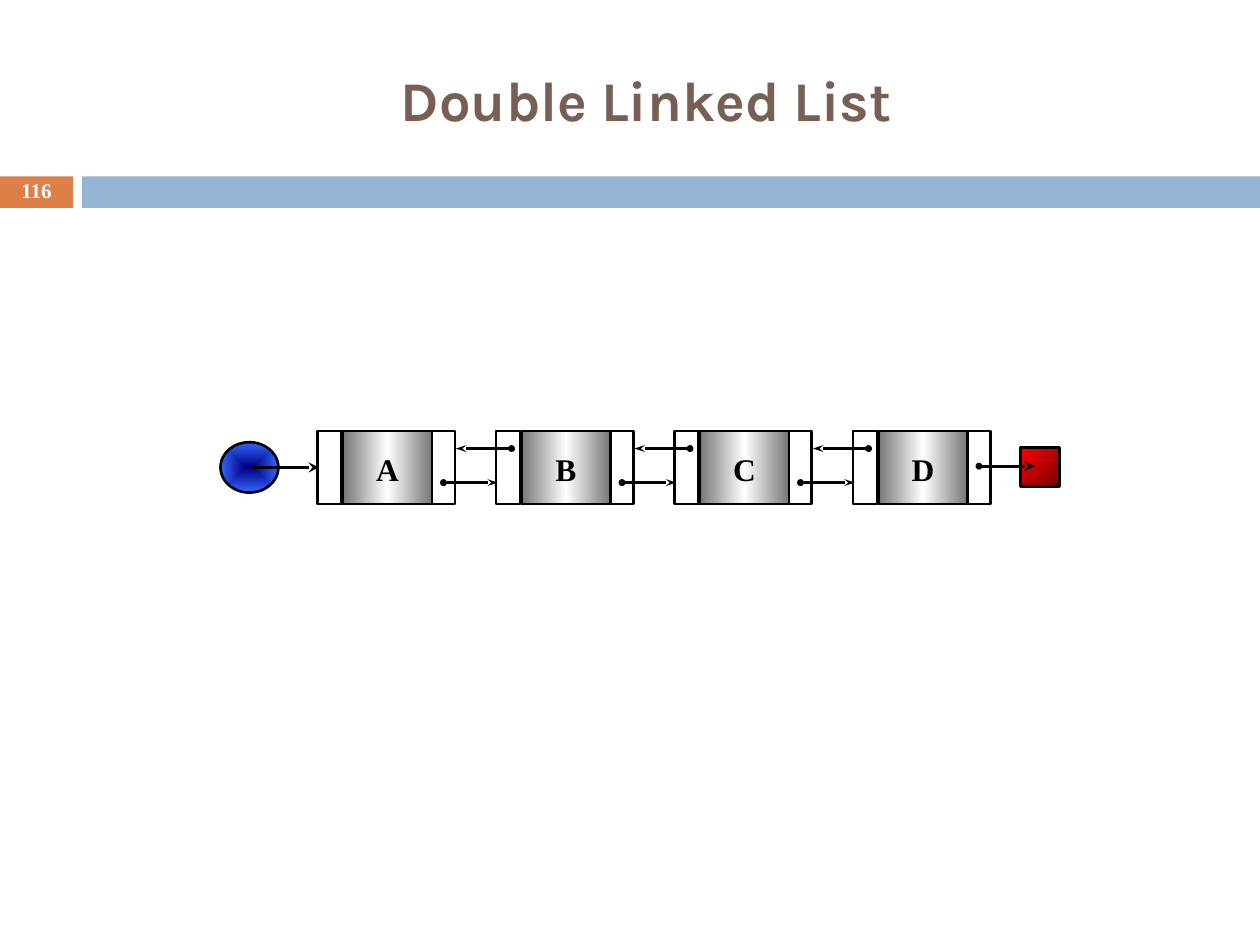
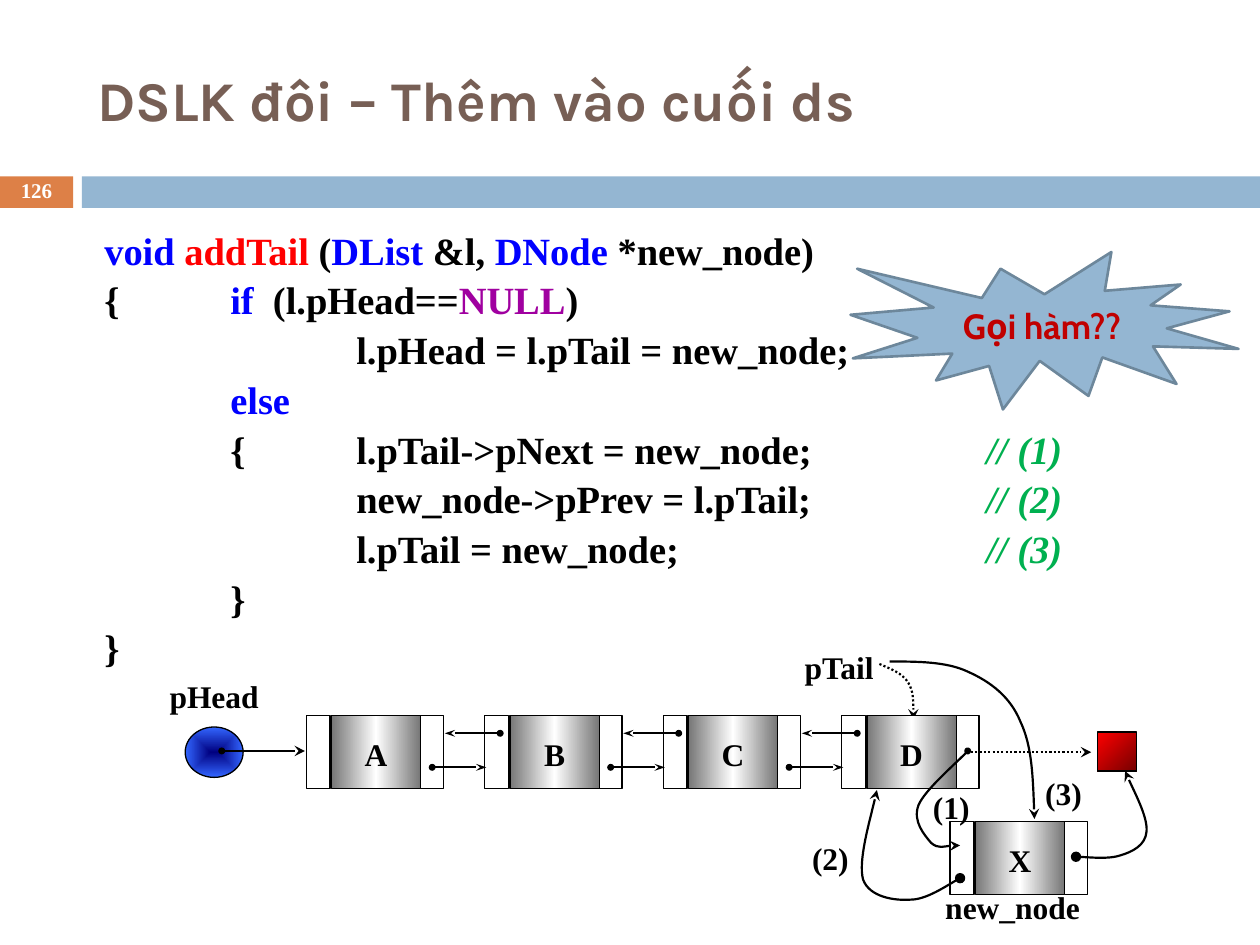
from dataclasses import dataclass

from lxml import etree
from pptx import Presentation
from pptx.dml.color import RGBColor
from pptx.enum import dml, shapes, text
from pptx.oxml import parse_xml
from pptx.oxml.ns import nsdecls, qn
from pptx.util import Inches, Pt


@dataclass(frozen=True)
class Theme:
    title_font: str = "Karla"
    body_font: str = "Times New Roman"
    callout_font: str = "Cabin"
    title_size: int = 32
    code_size: int = 22
    callout_size: int = 20
    label_size: int = 18
    number_size: int = 12
    title: str = "775F55"
    accent: str = "DD8047"
    band: str = "94B6D2"
    band_edge: str = "6D879B"
    callout: str = "C00000"
    ink: str = "000000"
    paper: str = "FFFFFF"
    keyword: str = "0000FF"
    function: str = "FF0000"
    constant: str = "A000A0"
    comment: str = "00B050"


T = Theme()
SHAPE, ALIGN, ANCHOR = shapes.MSO_SHAPE, text.PP_ALIGN, text.MSO_ANCHOR

# Gradients: stops by percent, then the direction element
STEEL = [(0, "767676"), (50, T.paper), (100, "767676")], '<a:lin ang="0" scaled="0"/>'
RED = [(0, "FF0000"), (100, "760000")], '<a:lin ang="2700000" scaled="0"/>'
BLUE = ([(0, "000080"), (100, "3366FF")],
        '<a:path path="shape"><a:fillToRect l="50000" t="50000" r="50000" b="50000"/></a:path>')

# ---- content -------------------------------------------------------------
NODES = "ABCD"
OVERVIEW = dict(
    title="Double Linked List", align=ALIGN.CENTER, number="116",
    chain=(2.52, 3.42), head=(1.75, 3.51), end=(8.1, 3.55), edge=1.5, wire=1.5,
    arrows=[
        dict(start=(1.99, 3.71), stop=(2.53, 3.71)),
        dict(start=(7.77, 3.7), stop=(8.21, 3.7), dot="sm"),
    ],
)
ADD_TAIL = dict(
    title="DSLK đôi – Thêm vào cuối ds", align=ALIGN.LEFT, number="126",
    chain=(2.43, 5.68), head=(1.47, 5.77), end=(8.71, 5.81), edge=0.75, wire=1.25,
    arrows=[
        dict(start=(1.76, 5.96), stop=(2.42, 5.96), dot="sm"),
        dict(start=(7.67, 5.97), stop=(8.66, 5.97), dashed=True),
    ],
)
K, F, C, N, P = T.keyword, T.function, T.comment, T.constant, T.ink
CODE = [
    [("void ", K), ("addTail ", F), ("(", P), ("DList", K), (" &l, ", P),
     ("DNode", K), (" *new_node)", P)],
    [("{\t", P), ("if", K), ("  (l.pHead==", P), ("NULL", N), (")", P)],
    [("\t\tl.pHead = l.pTail = new_node;", P)],
    [("\t", P), ("else", K)],
    [("\t{\tl.pTail->pNext = new_node;\t\t", P), ("// (1)", C)],
    [("\t\tnew_node->pPrev = l.pTail;\t\t", P), ("// (2)", C)],
    [("\t\tl.pTail = new_node;\t\t\t", P), ("// (3)", C)],
    [("\t}", P)],
    [("}", P)],
]
CODE_TABS = range(1, 8)
NEW_NODE = ("X", 7.54, 6.52)
LABELS = [
    ("pHead", (1.25, 5.31, 0.9, 0.42)),
    ("pTail", (6.21, 5.08, 0.9, 0.42)),
    ("(1)", (7.29, 6.21, 0.52, 0.38)),
    ("(2)", (6.33, 6.62, 0.52, 0.38)),
    ("(3)", (8.18, 6.1, 0.52, 0.38)),
]
# Bezier chains: a start, then two controls and an end for each piece
OLD_TAIL = [(6.98, 5.27), (7.07, 5.31), (7.16, 5.34), (7.21, 5.42),
            (7.25, 5.49), (7.25, 5.6), (7.25, 5.71)]
NEW_TAIL = [(7.06, 5.25), (7.28, 5.25), (7.51, 5.25), (7.68, 5.33), (7.86, 5.41),
            (8.02, 5.53), (8.1, 5.73), (8.19, 5.92), (8.2, 6.21), (8.21, 6.5)]
NEW_LINKS = [  # size of the starting dot, then the chain
    ("med", [(8.54, 6.8), (8.6, 6.8), (8.8, 6.82), (8.89, 6.79), (8.99, 6.76),
             (9.09, 6.71), (9.1, 6.6), (9.11, 6.49), (8.97, 6.22), (8.93, 6.12)]),
    ("med", [(7.62, 6.97), (7.56, 7), (7.35, 7.14), (7.23, 7.14), (7.1, 7.15),
             (6.9, 7.12), (6.85, 6.98), (6.81, 6.83), (6.93, 6.42), (6.96, 6.27)]),
    ("sm", [(7.68, 5.96), (7.62, 6.03), (7.34, 6.27), (7.29, 6.39), (7.24, 6.52),
            (7.34, 6.63), (7.39, 6.69), (7.45, 6.74), (7.57, 6.7), (7.62, 6.71)]),
]

# ---- node geometry -------------------------------------------------------
PITCH = 4.25 / 3
NODE_H, CELL_W, VALUE_W = 0.58, 0.19, 0.71
VALUE_DX, NEXT_DX = 0.2, 0.9


def color(value):
    return RGBColor.from_string(value)


def inches(values):
    return [Inches(v) for v in values]


def put_text(shape, lines, font=T.body_font, size=T.label_size, ink=T.ink,
             align=ALIGN.CENTER, anchor=ANCHOR.MIDDLE, insets=None, before=0,
             leading=None, tabs=()):
    """Fill a shape with bold text: a string, or lines of (words, colour) runs."""
    frame = shape.text_frame
    frame.word_wrap, frame.vertical_anchor = True, anchor
    frame.auto_size = text.MSO_AUTO_SIZE.NONE
    if insets:
        (frame.margin_left, frame.margin_top,
         frame.margin_right, frame.margin_bottom) = inches(insets)
    if isinstance(lines, str):
        lines = [[(lines, ink)]]
    for i, line in enumerate(lines):
        paragraph = frame.add_paragraph() if i else frame.paragraphs[0]
        paragraph.alignment = align
        paragraph.space_before = Pt(before if i else 0)
        if leading:
            paragraph.line_spacing = leading
        if tabs:
            stops = etree.SubElement(paragraph._p.get_or_add_pPr(), qn("a:tabLst"))
            for tab in tabs:
                etree.SubElement(stops, qn("a:tab"), pos=str(Inches(tab)), algn="l")
        for words, run_color in line:
            run = paragraph.add_run()
            run.text = words
            run.font.name, run.font.size, run.font.bold = font, Pt(size), True
            run.font.color.rgb = color(run_color)
            run.font.italic = True if run_color == T.comment else None


def text_box(slide, box, lines, **fmt):
    put_text(slide.shapes.add_textbox(*inches(box)), lines, **fmt)


def fill_gradient(shape, stops, direction):
    marks = "".join(f'<a:gs pos="{pos * 1000}"><a:srgbClr val="{rgb}"/></a:gs>'
                    for pos, rgb in stops)
    properties = shape._element.spPr
    properties.replace(properties.find(qn("a:noFill")), parse_xml(
        f'<a:gradFill {nsdecls("a")} rotWithShape="1"><a:gsLst>{marks}</a:gsLst>'
        f'{direction}</a:gradFill>'))


def add_block(slide, kind, box, fill=None, edge=None, edge_color=T.ink):
    """Add a preset shape; fill is a colour, a gradient or None."""
    shape = slide.shapes.add_shape(kind, *inches(box))
    shape.shadow.inherit = False
    if isinstance(fill, str):
        shape.fill.solid()
        shape.fill.fore_color.rgb = color(fill)
    else:
        shape.fill.background()
        if fill:
            fill_gradient(shape, *fill)
    if edge:
        shape.line.width = Pt(edge)
        shape.line.color.rgb = color(edge_color)
    else:
        shape.line.fill.background()
    return shape


def style_wire(wire, width, dot=None, dashed=False, tip="med"):
    """Black line with a stealth tip and, if a size is given, a dot at its start."""
    wire.line.width = Pt(width)
    wire.line.color.rgb = color(T.ink)
    if dashed:
        wire.line.dash_style = dml.MSO_LINE.ROUND_DOT
    properties = wire._element.spPr
    line = properties.find(qn("a:ln"))
    if dot:
        etree.SubElement(line, qn("a:headEnd"), type="oval", w=dot, len=dot)
    etree.SubElement(line, qn("a:tailEnd"), type="stealth", w=tip, len="med")
    if properties.find(qn("a:effectLst")) is None:
        etree.SubElement(properties, qn("a:effectLst"))


def add_arrow(slide, start, stop, width, **look):
    wire = slide.shapes.add_connector(shapes.MSO_CONNECTOR.STRAIGHT, *inches(start + stop))
    style_wire(wire, width, **look)


def add_curve(slide, points, width, **look):
    start, *rest = [inches(point) for point in points]
    builder = slide.shapes.build_freeform(*start)
    builder.add_line_segments(rest, close=False)
    curve = builder.convert_to_shape()
    curve.shadow.inherit = False
    curve.fill.background()
    outline = next(curve._element.iter(qn("a:path")))
    steps = outline.findall(qn("a:lnTo"))
    for i in range(0, len(steps), 3):
        bezier = etree.SubElement(outline, qn("a:cubicBezTo"))
        for step in steps[i:i + 3]:
            bezier.append(step[0])
            outline.remove(step)
    style_wire(curve, width, **look)


def add_node(slide, value, x, y, edge, cell_fill=None):
    for dx in (0, NEXT_DX):
        add_block(slide, SHAPE.RECTANGLE, (x + dx, y, CELL_W, NODE_H), cell_fill, edge)
    block = add_block(slide, SHAPE.RECTANGLE, (x + VALUE_DX, y, VALUE_W, NODE_H), STEEL, edge)
    put_text(block, value, insets=(0, 0.03, 0, 0))


def add_chain(slide, page):
    x0, y = page["chain"]
    edge, wire = page["edge"], page["wire"]
    add_block(slide, SHAPE.OVAL, (*page["head"], 0.46, 0.4), BLUE, edge)
    add_block(slide, SHAPE.RECTANGLE, (*page["end"], 0.31, 0.31), RED, edge)
    xs = [x0 + i * PITCH for i in range(len(NODES))]
    for value, x in zip(NODES, xs):
        add_node(slide, value, x, y, edge)
    for x in xs[:-1]:
        for start, stop, dy in ((1, 1.43, 0.41), (1.54, 1.1, 0.14)):
            add_arrow(slide, (x + start, y + dy), (x + stop, y + dy), wire, dot="sm", tip="sm")
    for arrow in page["arrows"]:
        add_arrow(slide, width=wire, **arrow)


def add_page(deck, page):
    """Add a slide with its title, bands and page number."""
    slide = deck.slides.add_slide(deck.slide_layouts[5])
    title = slide.shapes.title
    title.left, title.top, title.width, title.height = inches((0.67, 0.25, 8.92, 1.08))
    put_text(title, page["title"], font=T.title_font, size=T.title_size,
             ink=T.title, align=page["align"])
    add_block(slide, SHAPE.RECTANGLE, (0, 1.4, 0.58, 0.25), T.accent)
    add_block(slide, SHAPE.RECTANGLE, (0.65, 1.4, 9.35, 0.25), T.band)
    text_box(slide, (0, 1.39, 0.58, 0.27), page["number"],
             size=T.number_size, ink=T.paper, leading=0.8)
    return slide


def add_insertion(slide, page):
    """Add the new node, its links and the labels."""
    add_node(slide, *NEW_NODE, page["edge"], cell_fill=T.paper)
    for dot, points in NEW_LINKS:
        add_curve(slide, points, page["wire"], dot=dot)
    add_curve(slide, NEW_TAIL, page["wire"])
    for label, box in LABELS:
        text_box(slide, box, label, insets=(0, 0, 0, 0))
    text_box(slide, (7.39, 7, 1.28, 0.4), "new_node", align=ALIGN.RIGHT, anchor=ANCHOR.TOP)


def main():
    deck = Presentation()
    deck.slide_width, deck.slide_height = Inches(10), Inches(7.5)

    add_chain(add_page(deck, OVERVIEW), OVERVIEW)

    slide = add_page(deck, ADD_TAIL)
    text_box(slide, (0.73, 1.75, 8.86, 4.92), CODE, size=T.code_size,
             align=ALIGN.LEFT, anchor=ANCHOR.TOP, before=2, tabs=CODE_TABS)
    add_curve(slide, OLD_TAIL, ADD_TAIL["wire"], dashed=True)
    add_chain(slide, ADD_TAIL)
    add_insertion(slide, ADD_TAIL)
    burst = add_block(slide, SHAPE.EXPLOSION1, (6.75, 2, 3.08, 1.25), T.band, 1.5, T.band_edge)
    put_text(burst, "Gọi hàm??", font=T.callout_font, size=T.callout_size, ink=T.callout)

    deck.save("out.pptx")


if __name__ == "__main__":
    main()
